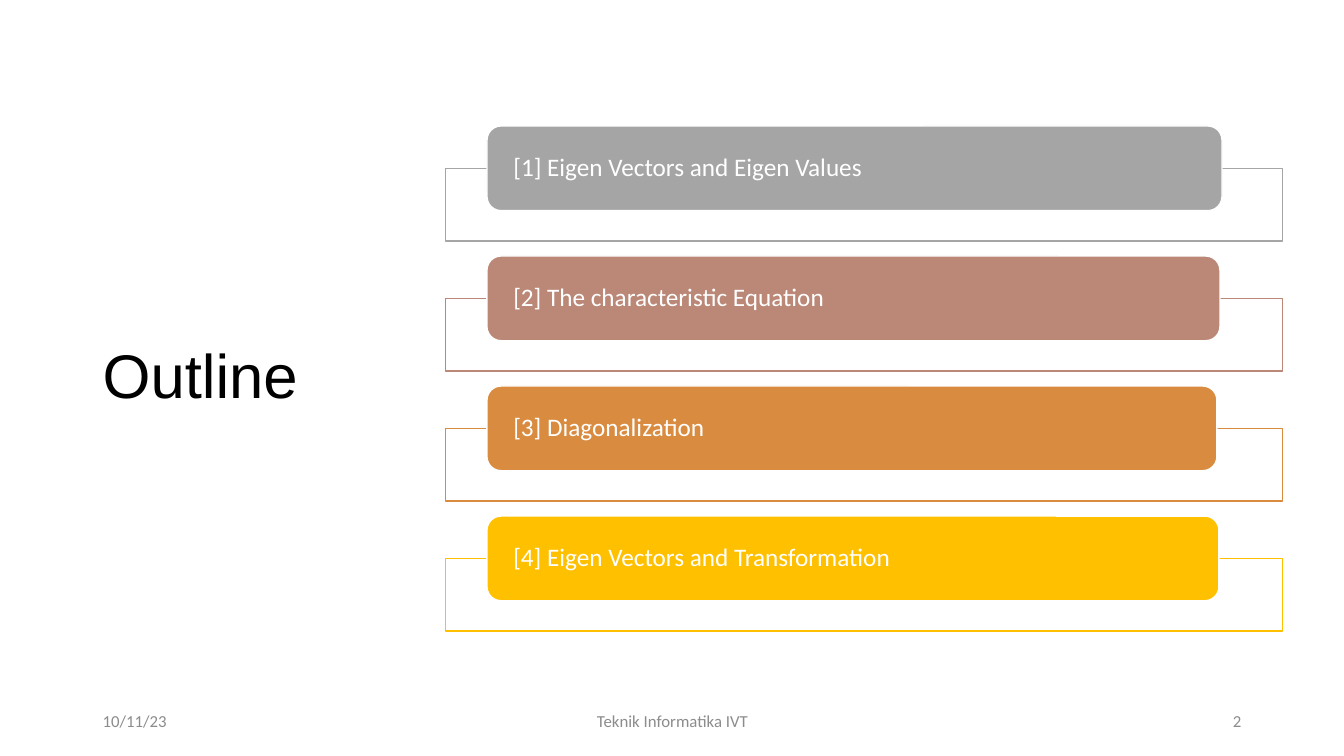
"""Build the outline slide: four labelled topic bars, a title and a footer."""
from pptx import Presentation
from pptx.dml.color import RGBColor
from pptx.enum.shapes import MSO_SHAPE
from pptx.enum.text import MSO_ANCHOR, PP_ALIGN
from pptx.util import Inches, Pt

RECTANGLE, ROUNDED = MSO_SHAPE.RECTANGLE, MSO_SHAPE.ROUNDED_RECTANGLE
MIDDLE = MSO_ANCHOR.MIDDLE
LEFT, CENTER, RIGHT = PP_ALIGN.LEFT, PP_ALIGN.CENTER, PP_ALIGN.RIGHT

WIDTH, HEIGHT = 13.33, 7.5
MARGIN = 0.92
COLUMN_LEFT = 4.42
ROW_TOP, ROW_PITCH = 1.25, 1.29
BAR_INDENT, BAR_HEIGHT = 0.41, 0.84
FRAME_DROP, FRAME_WIDTH, FRAME_HEIGHT = BAR_HEIGHT / 2, 8.3, 0.72
FOOTER_TOP, FOOTER_HEIGHT = 6.95, 0.4
WHITE, BLACK, GREY = "FFFFFF", "000000", "8C8C8C"

TOPICS = [
    ("[1] Eigen Vectors and Eigen Values", "A5A5A5", 7.29),
    ("[2] The characteristic Equation", "BB8776", 7.27),
    ("[3] Diagonalization", "D98B3F", 7.24),
    ("[4] Eigen Vectors and Transformation", "FFC000", 7.26),
]
FOOTERS = [
    ("10/11/23", MARGIN, 3, LEFT),
    ("Teknik Informatika IVT", COLUMN_LEFT, 4.5, CENTER),
    ("2", WIDTH - MARGIN - 3, 3, RIGHT),
]


def color(hex_string):
    """Turn a hex string into a colour."""
    return RGBColor.from_string(hex_string)


def write(shape, text, size=18, font="Calibri", ink=WHITE, align=LEFT, inset=0.1, spacing=1.0):
    """Write one formatted, vertically centred paragraph into a shape."""
    frame = shape.text_frame
    frame.word_wrap = True
    frame.vertical_anchor = MIDDLE
    frame.margin_left = frame.margin_right = Inches(inset)
    paragraph = frame.paragraphs[0]
    paragraph.alignment = align
    paragraph.line_spacing = spacing
    run = paragraph.add_run()
    run.text = text
    run.font.size = Pt(size)
    run.font.name = font
    run.font.color.rgb = color(ink)


def add_text(slide, text, left, top, width, height, **style):
    """Add a text box with formatted text."""
    box = slide.shapes.add_textbox(Inches(left), Inches(top), Inches(width), Inches(height))
    write(box, text, **style)


def add_box(slide, kind, left, top, width, height, fill, line):
    """Add a filled and outlined preset shape."""
    shape = slide.shapes.add_shape(kind, Inches(left), Inches(top), Inches(width), Inches(height))
    shape.shadow.inherit = False
    shape.fill.solid()
    shape.fill.fore_color.rgb = color(fill)
    shape.line.color.rgb = color(line)
    shape.line.width = Pt(1)
    return shape


def add_topic(slide, row, text, accent, bar_width):
    """Add a topic bar overlapping its outlined frame."""
    top = ROW_TOP + row * ROW_PITCH
    add_box(slide, RECTANGLE, COLUMN_LEFT, top + FRAME_DROP, FRAME_WIDTH, FRAME_HEIGHT, WHITE, accent)
    bar = add_box(slide, ROUNDED, COLUMN_LEFT + BAR_INDENT, top, bar_width, BAR_HEIGHT, accent, WHITE)
    write(bar, text, inset=0.22, spacing=0.9)


def main():
    """Build and save the slide."""
    presentation = Presentation()
    presentation.slide_width, presentation.slide_height = Inches(WIDTH), Inches(HEIGHT)
    slide = presentation.slides.add_slide(presentation.slide_layouts[6])
    add_text(slide, "Outline", MARGIN, 3.03, WIDTH - 2 * MARGIN, 1.45,
             size=44, font="Arial", ink=BLACK, spacing=0.9)
    for row, topic in enumerate(TOPICS):
        add_topic(slide, row, *topic)
    for text, left, width, align in FOOTERS:
        add_text(slide, text, left, FOOTER_TOP, width, FOOTER_HEIGHT, size=12, ink=GREY, align=align)
    presentation.save("out.pptx")


if __name__ == "__main__":
    main()
